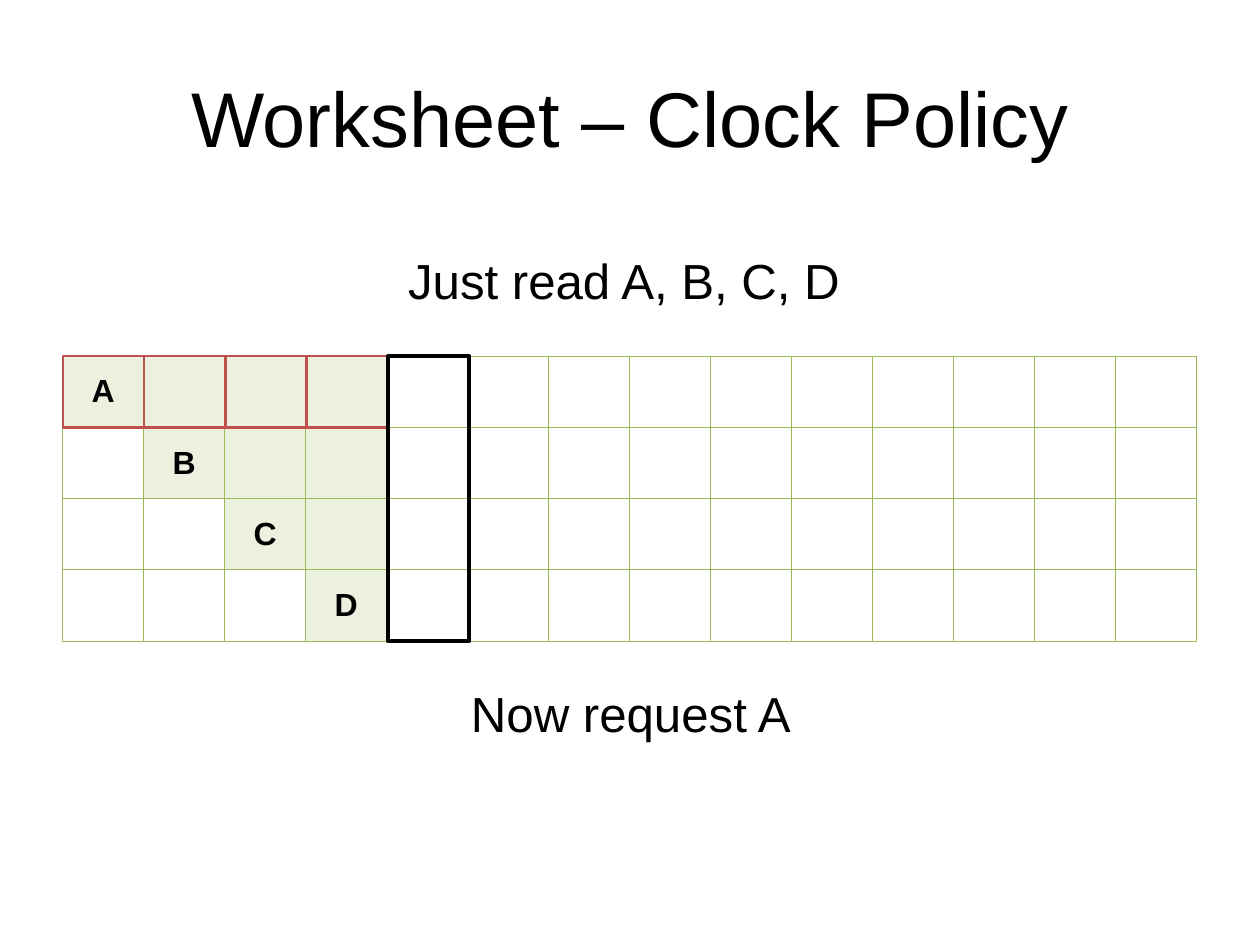
from lxml import etree
from pptx import Presentation
from pptx.dml.color import RGBColor
from pptx.enum import shapes, text
from pptx.oxml import ns
from pptx.util import Cm, Pt

HUES = {"ink": "000000", "page": "FFFFFF", "tint": "EBF1DE",
        "grid": "9BBB59", "mark": "C0504D"}
PAGES = "ABCD"
COLS = 14


def hue(name):
    """Return a named colour."""
    return RGBColor.from_string(HUES[name])


def write(frame, words, size, align, bold=False):
    """Put one line of styled words in a text frame."""
    frame.text = words
    line = frame.paragraphs[0]
    line.alignment = align
    font = line.runs[0].font
    font.name, font.size, font.bold = "Arial", Pt(size), bold
    font.color.rgb = hue("ink")


def place(shape, box):
    """Move a shape to a box in centimetres."""
    shape.left, shape.top, shape.width, shape.height = map(Cm, box)


def head(slide, box):
    """Set the slide title."""
    title = slide.shapes.title
    place(title, box)
    frame = title.text_frame
    frame.margin_left = frame.margin_right = Cm(0.36)
    frame.margin_top = frame.margin_bottom = Cm(0.18)
    frame.vertical_anchor = text.MSO_ANCHOR.MIDDLE
    write(frame, "Worksheet – Clock Policy", 63, text.PP_ALIGN.CENTER)


def note(slide, box, words, align):
    """Add a line of text above or below the grid."""
    frame = slide.shapes.add_textbox(*map(Cm, box)).text_frame
    frame.word_wrap = False
    frame.auto_size = text.MSO_AUTO_SIZE.SHAPE_TO_FIT_TEXT
    write(frame, words, 40, align)


def edge(cell):
    """Draw the four borders of a cell."""
    props = cell._tc.get_or_add_tcPr()
    for spot, side in enumerate("LRTB"):
        line = etree.Element(ns.qn("a:ln" + side), w=str(Pt(1)))
        fill = etree.SubElement(line, ns.qn("a:solidFill"))
        etree.SubElement(fill, ns.qn("a:srgbClr"), val=HUES["grid"])
        props.insert(spot, line)


def grid(slide, box):
    """Add the table of frames over time."""
    rows = len(PAGES)
    table = slide.shapes.add_table(rows, COLS, *map(Cm, box)).table
    table.first_row = table.horz_banding = False
    for col in table.columns:
        col.width = Cm(box[2] / COLS)
    for r, page in enumerate(PAGES):
        table.rows[r].height = Cm(box[3] / rows)
        for c in range(COLS):
            cell = table.cell(r, c)
            cell.fill.solid()
            cell.fill.fore_color.rgb = hue("tint" if r <= c < rows else "page")
            edge(cell)
            if r == c:
                cell.vertical_anchor = text.MSO_ANCHOR.MIDDLE
                write(cell.text_frame, page, 26, text.PP_ALIGN.CENTER, True)


def ring(slide, box, name, width):
    """Add an unfilled outline."""
    shape = slide.shapes.add_shape(shapes.MSO_SHAPE.RECTANGLE, *map(Cm, box))
    shape.shadow.inherit = False
    shape.fill.background()
    shape.line.color.rgb = hue(name)
    shape.line.width = Pt(width)


def clock(slide, box):
    """Add the grid with its marked cells and current column."""
    x, y, w, h = box
    step, count = 2.33, len(PAGES)
    grid(slide, box)
    for c in range(count):
        ring(slide, (x + c * step, y, step, h / count), "mark", 2)
    note(slide, (x + 9.65, y - 3.15, 13.18, 1.96), "Just read A, B, C, D",
         text.PP_ALIGN.LEFT)
    note(slide, (x + 11.28, y + h + 1.07, 9.93, 1.96), "Now request A ",
         text.PP_ALIGN.CENTER)
    ring(slide, (x + count * step, y, step, h), "ink", 3)


def main():
    """Build and save the slide."""
    deck = Presentation()
    deck.slide_width, deck.slide_height = Cm(36.12), Cm(27.1)
    slide = deck.slides.add_slide(deck.slide_layouts[5])
    head(slide, (1.8, 1.09, 32.51, 4.52))
    clock(slide, (1.8, 10.21, 32.51, 8.18))
    deck.save("out.pptx")


if __name__ == "__main__":
    main()
